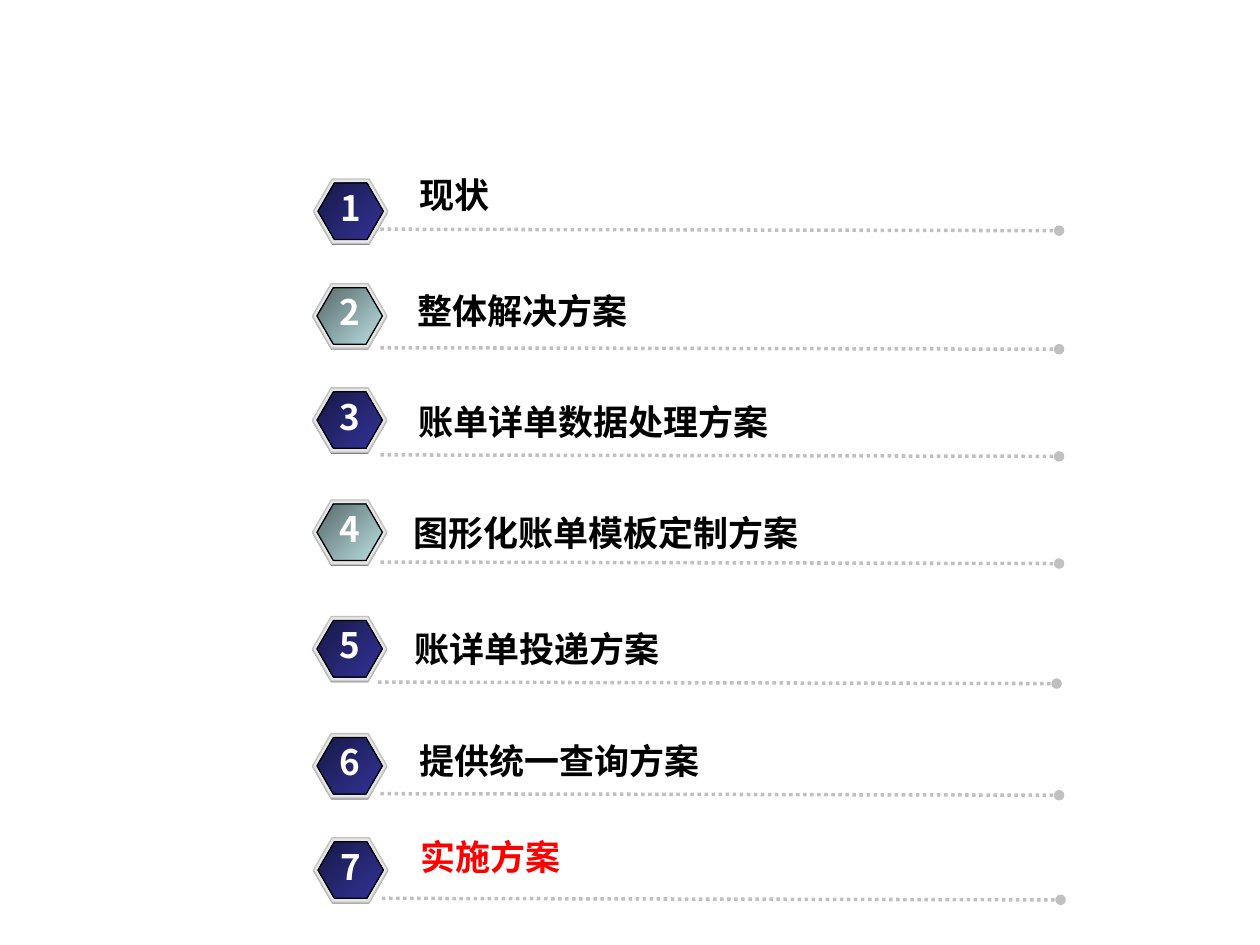
from dataclasses import dataclass

from pptx import Presentation
from pptx.dml.color import RGBColor
from pptx.enum.dml import MSO_LINE_DASH_STYLE as Dash
from pptx.enum.shapes import MSO_CONNECTOR as Conn, MSO_SHAPE as Shp
from pptx.enum.text import MSO_AUTO_SIZE as AutoSize, PP_ALIGN as Align
from pptx.oxml.ns import qn
from pptx.shapes.autoshape import Shape
from pptx.shapes.shapetree import GroupShapes, SlideShapes
from pptx.util import Cm, Pt
from lxml.etree import SubElement

COLORS = {
    "white": "FFFFFF", "black": "000000", "red": "FF0000",
    "shade": "808080", "rim": "E6E6E6", "rule": "C0C0C0",
}
GRADIENTS = {"navy": ("181847", "333399"), "teal": ("576869", "BBE0E3")}
LATIN, CJK = "Arial", "Noto Sans CJK SC"
RULE_LENGTH, RULE_DROP = 13.68, 0.03
RIM_SIZE, FACE_SIZE = (1.5, 1.3), (1.32, 1.14)
TEXT_HEIGHT = 1.12


@dataclass
class AgendaItem:
    """One agenda row; all lengths in centimetres."""
    title: str
    badge: tuple[float, float]
    rule: tuple[float, float]
    label: tuple[float, float, float]  # left, top, width
    gradient: str = "navy"
    color: str = "black"
    align: Align = Align.CENTER


ITEMS = [
    AgendaItem("现状", (6.32, 3.61), (7.67, 4.62), (7.67, 3.38, 2.97)),
    AgendaItem("整体解决方案", (6.3, 5.72), (7.67, 7.01), (7.67, 5.71, 5.72), "teal"),
    AgendaItem("账单详单数据处理方案", (6.3, 7.82), (7.67, 9.17), (7.94, 7.95, 8.05)),
    AgendaItem("图形化账单模板定制方案", (6.3, 10.08), (7.67, 11.33), (7.67, 10.18, 9.09), "teal"),
    AgendaItem("账详单投递方案", (6.3, 12.43), (7.62, 13.75), (7.87, 12.52, 5.92)),
    AgendaItem("提供统一查询方案", (6.3, 14.79), (7.67, 16), (7.16, 14.78, 8.25)),
    AgendaItem("实施方案", (6.32, 16.89), (7.7, 18.11), (8.23, 16.71, 8.25),
               color="red", align=Align.LEFT),
]


def rgb(name: str) -> RGBColor:
    return RGBColor.from_string(COLORS[name])


def add_text(shapes: SlideShapes | GroupShapes, text: str, left: float, top: float,
             width: float, color: str, font: str, align: Align, wrap: bool) -> None:
    s = shapes.add_textbox(Cm(left), Cm(top), Cm(width), Cm(TEXT_HEIGHT))
    tf = s.text_frame
    tf.text = text
    tf.word_wrap = wrap
    tf.auto_size = AutoSize.SHAPE_TO_FIT_TEXT
    p = tf.paragraphs[0]
    p.alignment = align
    r = p.runs[0]
    r.font.name, r.font.size, r.font.bold = font, Pt(20), True
    r.font.color.rgb = rgb(color)
    SubElement(r.font._element, qn("a:ea"), typeface=CJK)


def add_hexagon(shapes: GroupShapes, left: float, top: float,
                size: tuple[float, float], line: str | None = None) -> Shape:
    s = shapes.add_shape(Shp.HEXAGON, Cm(left), Cm(top), Cm(size[0]), Cm(size[1]))
    s.adjustments[0] = 0.29
    s.shadow.inherit = False
    if line:
        s.line.color.rgb = rgb(line)
        s.line.width = Pt(0.75)
    else:
        s.line.fill.background()
    return s


def add_badge(shapes: SlideShapes, number: int, item: AgendaItem) -> None:
    left, top = item.badge
    group = shapes.add_group_shape().shapes
    # Shade below, rim above it, gradient face on top
    for name, drop, line in (("shade", 0.03, None), ("rim", 0, "rule")):
        s = add_hexagon(group, left, top + drop, RIM_SIZE, line)
        s.fill.solid()
        s.fill.fore_color.rgb = rgb(name)
    face = add_hexagon(group, left + 0.09, top + 0.08, FACE_SIZE, "black")
    face.fill.gradient()
    face.fill.gradient_angle = 315
    for stop, color in zip(face.fill.gradient_stops, GRADIENTS[item.gradient]):
        stop.color.rgb = RGBColor.from_string(color)
    add_text(group, str(number), left + 0.28, top + 0.02, 0.94,
             "white", CJK, Align.CENTER, False)


def add_rule(shapes: SlideShapes, left: float, top: float) -> None:
    s = shapes.add_connector(Conn.STRAIGHT, Cm(left), Cm(top),
                             Cm(left + RULE_LENGTH), Cm(top + RULE_DROP))
    s.line.color.rgb = rgb("rule")
    s.line.width = Pt(2)
    s.line.dash_style = Dash.ROUND_DOT  # stored as sysDot
    SubElement(s.line._get_or_add_ln(), qn("a:tailEnd"), type="oval")
    SubElement(s._element.spPr, qn("a:effectLst"))


def main() -> None:
    prs = Presentation()
    prs.slide_width, prs.slide_height = Cm(25.4), Cm(19.05)
    shapes = prs.slides.add_slide(prs.slide_layouts[6]).shapes
    # Agenda rows
    for number, item in enumerate(ITEMS, 1):
        add_rule(shapes, *item.rule)
        add_badge(shapes, number, item)
        add_text(shapes, item.title, *item.label, item.color, LATIN, item.align, True)
    prs.save("out.pptx")


if __name__ == "__main__":
    main()
